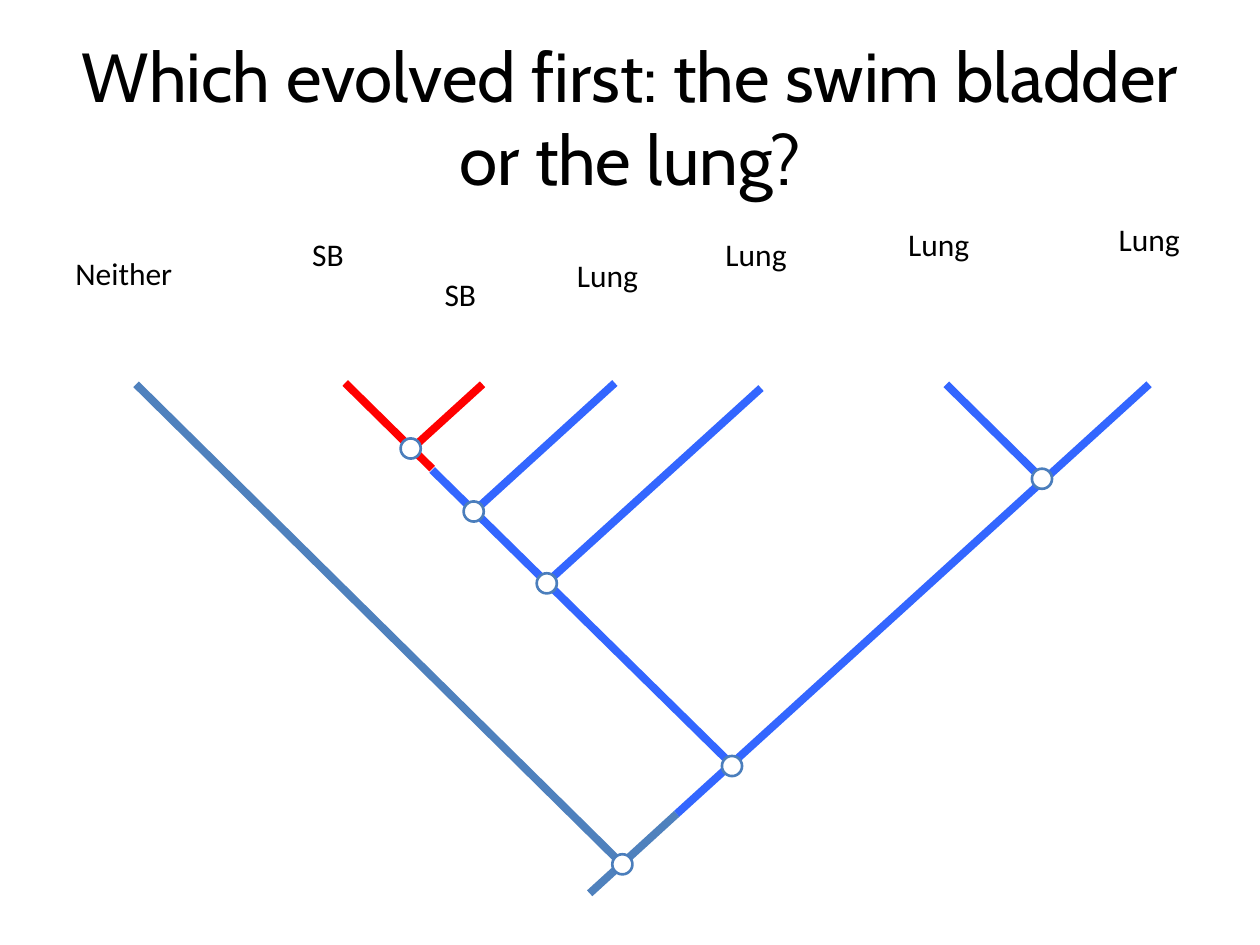
from lxml import etree
from pptx import Presentation
from pptx.dml.color import RGBColor
from pptx.enum.shapes import MSO_CONNECTOR, MSO_SHAPE
from pptx.enum.text import MSO_ANCHOR, PP_ALIGN
from pptx.oxml.ns import qn
from pptx.util import Inches, Pt

STRAIGHT = MSO_CONNECTOR.STRAIGHT
OVAL = MSO_SHAPE.OVAL

BLACK = RGBColor(0x00, 0x00, 0x00)
WHITE = RGBColor(0xFF, 0xFF, 0xFF)
NEITHER = RGBColor(0x4F, 0x81, 0xBD)
LUNG = RGBColor(0x33, 0x66, 0xFF)
BLADDER = RGBColor(0xFF, 0x00, 0x00)
NODE_LINE = RGBColor(0x4B, 0x7E, 0xBC)

TITLE = "Which evolved first: the swim bladder or the lung?"
NODE_SIZE = 0.16
LABEL_HEIGHT = 0.4

# Branches: start, end, trait colour
BRANCHES = [
    ((9.12, 3.05), (5.37, 6.46), LUNG),
    ((2.74, 3.04), (3.43, 3.72), BLADDER),
    ((5.37, 6.46), (4.68, 7.09), NEITHER),
    ((1.08, 3.05), (4.98, 6.9), NEITHER),
    ((3.43, 3.73), (5.81, 6.07), LUNG),
    ((3.83, 3.05), (3.27, 3.56), BLADDER),
    ((7.51, 3.05), (8.27, 3.8), LUNG),
    ((4.88, 3.04), (3.76, 4.06), LUNG),
    ((6.04, 3.08), (4.31, 4.65), LUNG),
]
# Common ancestors: centre of each circle
NODES = [(4.94, 6.86), (5.81, 6.08), (3.26, 3.56),
         (8.27, 3.8), (4.34, 4.63), (3.76, 4.06)]
# Tip labels: text, left, top, width
LABELS = [
    ("Neither", 0.5, 1.97, 1.17),
    ("SB", 2.38, 1.82, 0.8),
    ("SB", 3.43, 2.13, 0.8),
    ("Lung", 4.48, 1.98, 0.8),
    ("Lung", 5.66, 1.82, 0.8),
    ("Lung", 7.11, 1.74, 0.8),
    ("Lung", 8.78, 1.7, 0.8),
]


def write(tf, text, font, size):
    tf.word_wrap = True
    p = tf.paragraphs[0]
    r = p.add_run()
    r.text = text
    r.font.name, r.font.size = font, Pt(size)
    r.font.color.rgb = BLACK
    return p


def add_title(s):
    title = s.shapes.title
    title.left, title.top = Inches(0.5), Inches(0.3)
    title.width, title.height = Inches(9), Inches(1.25)
    p = write(title.text_frame, TITLE, "Cabin", 39.6)
    p.alignment = PP_ALIGN.CENTER
    title.text_frame.vertical_anchor = MSO_ANCHOR.MIDDLE


def add_branch(s, start, end, color):
    line = s.shapes.add_connector(STRAIGHT, *map(Inches, start + end))
    line.line.color.rgb = color
    line.line.width = Pt(4.5)
    etree.SubElement(line._element.spPr, qn("a:effectLst"))


def add_node(s, x, y):
    half = NODE_SIZE / 2
    node = s.shapes.add_shape(OVAL, Inches(x - half), Inches(y - half),
                              Inches(NODE_SIZE), Inches(NODE_SIZE))
    node.shadow.inherit = False
    node.fill.solid()
    node.fill.fore_color.rgb = WHITE
    node.line.color.rgb = NODE_LINE
    node.line.width = Pt(1.5)


def main():
    prs = Presentation()
    prs.slide_width, prs.slide_height = Inches(10), Inches(7.5)
    s = prs.slides.add_slide(prs.slide_layouts[5])
    add_title(s)
    for start, end, color in BRANCHES:
        add_branch(s, start, end, color)
    for x, y in NODES:
        add_node(s, x, y)
    for text, left, top, width in LABELS:
        box = s.shapes.add_textbox(Inches(left), Inches(top),
                                   Inches(width), Inches(LABEL_HEIGHT))
        write(box.text_frame, text, "Calibri", 18)
    prs.save("out.pptx")


if __name__ == "__main__":
    main()
